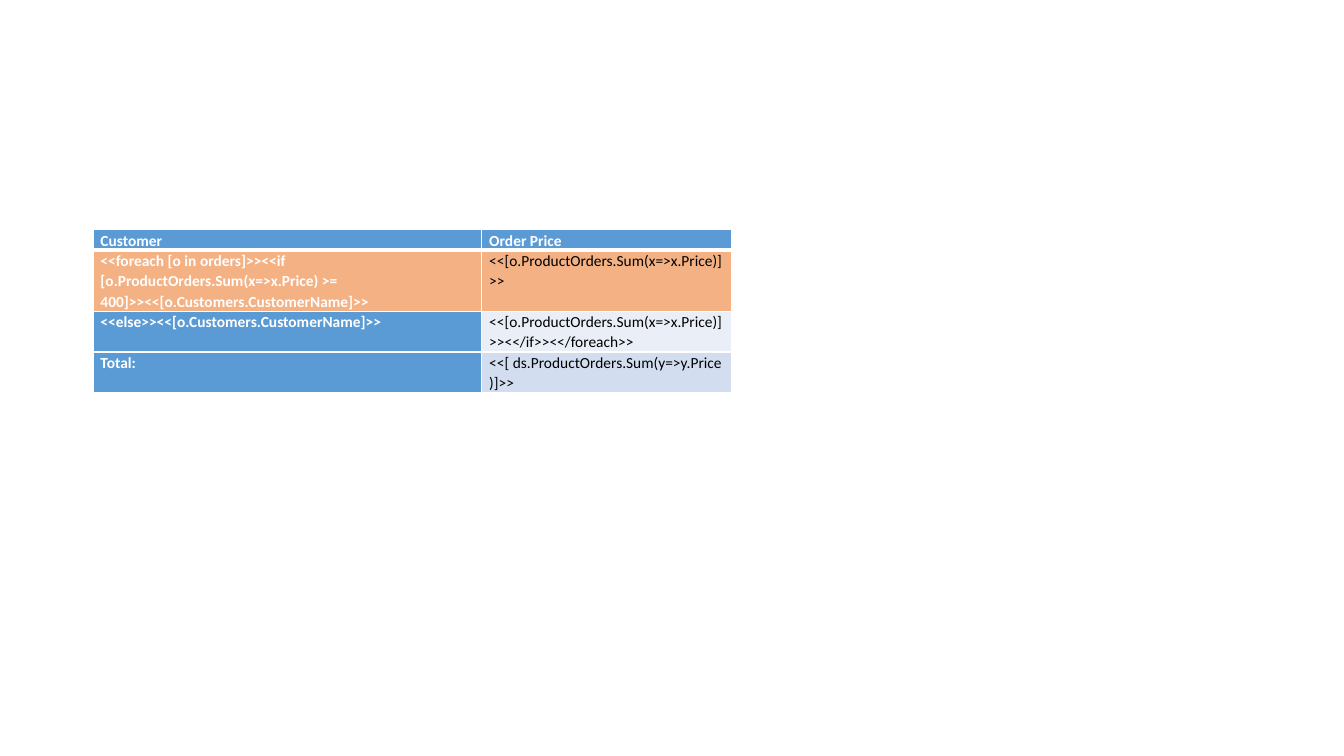
"""Build a slide with a table template of customers and order prices."""
from lxml import etree
from pptx import Presentation
from pptx.dml.color import RGBColor
from pptx.oxml import ns
from pptx.util import Pt

WHITE = RGBColor(0xFF, 0xFF, 0xFF)
BLACK = RGBColor(0, 0, 0)
BLUE = RGBColor(0x5B, 0x9B, 0xD5)
ORANGE = RGBColor(0xF4, 0xB1, 0x83)
PALE = RGBColor(0xEA, 0xEF, 0xF7)
LIGHT = RGBColor(0xD2, 0xDE, 0xEF)


def write(cell, words, color=BLACK, bold=False, size=11, face="Calibri"):
    cell.margin_left = cell.margin_right = Pt(5.4)
    cell.margin_top = cell.margin_bottom = Pt(0)
    para = cell.text_frame.paragraphs[0]
    para.line_spacing = 1.07
    run = para.add_run()
    run.text = words
    font = run.font
    font.name, font.size, font.bold = face, Pt(size), bold
    font.color.rgb = color


def edge(cell, widths):
    props = cell._tc.get_or_add_tcPr()
    for spot, (side, width) in enumerate(zip("LRTB", widths)):
        line = etree.Element(ns.qn("a:ln" + side), w=str(Pt(width)))
        fill = etree.SubElement(line, ns.qn("a:solidFill"))
        etree.SubElement(fill, ns.qn("a:srgbClr"), val=str(WHITE))
        props.insert(spot, line)


deck = Presentation()
deck.slide_width, deck.slide_height = Pt(960), Pt(540)
slide = deck.slides.add_slide(deck.slide_layouts[6])

rows = [
    (14.5, "Customer", BLUE, "Order Price", BLUE),
    (43.5, "<<foreach [o in orders]>><<if [o.ProductOrders.Sum(x=>x.Price) >= 400]>>"
     "<<[o.Customers.CustomerName]>>", ORANGE,
     "<<[o.ProductOrders.Sum(x=>x.Price)]>>", ORANGE),
    (29, "<<else>><<[o.Customers.CustomerName]>>", BLUE,
     "<<[o.ProductOrders.Sum(x=>x.Price)]>><</if>><</foreach>>", PALE),
    (29, "Total:", BLUE, "<<[ ds.ProductOrders.Sum(y=>y.Price)]>>", LIGHT),
]
widths = [277.7, 178.3]
frame = slide.shapes.add_table(len(rows), len(widths), Pt(66.4), Pt(164.2),
                               Pt(sum(widths)), Pt(sum(row[0] for row in rows)))
table = frame.table
for col, width in zip(table.columns, widths):
    col.width = Pt(width)

for r, (height, name, shade, price, tint) in enumerate(rows):
    table.rows[r].height = Pt(height)
    for c, (words, color) in enumerate([(name, shade), (price, tint)]):
        cell = table.cell(r, c)
        cell.fill.solid()
        cell.fill.fore_color.rgb = color
        head = r == 0 or c == 0
        write(cell, words, color=WHITE if head else BLACK, bold=head)
        edge(cell, (1, 1, 3 if r == 1 else 1, 3 if r == 0 else 1))

deck.save("out.pptx")
